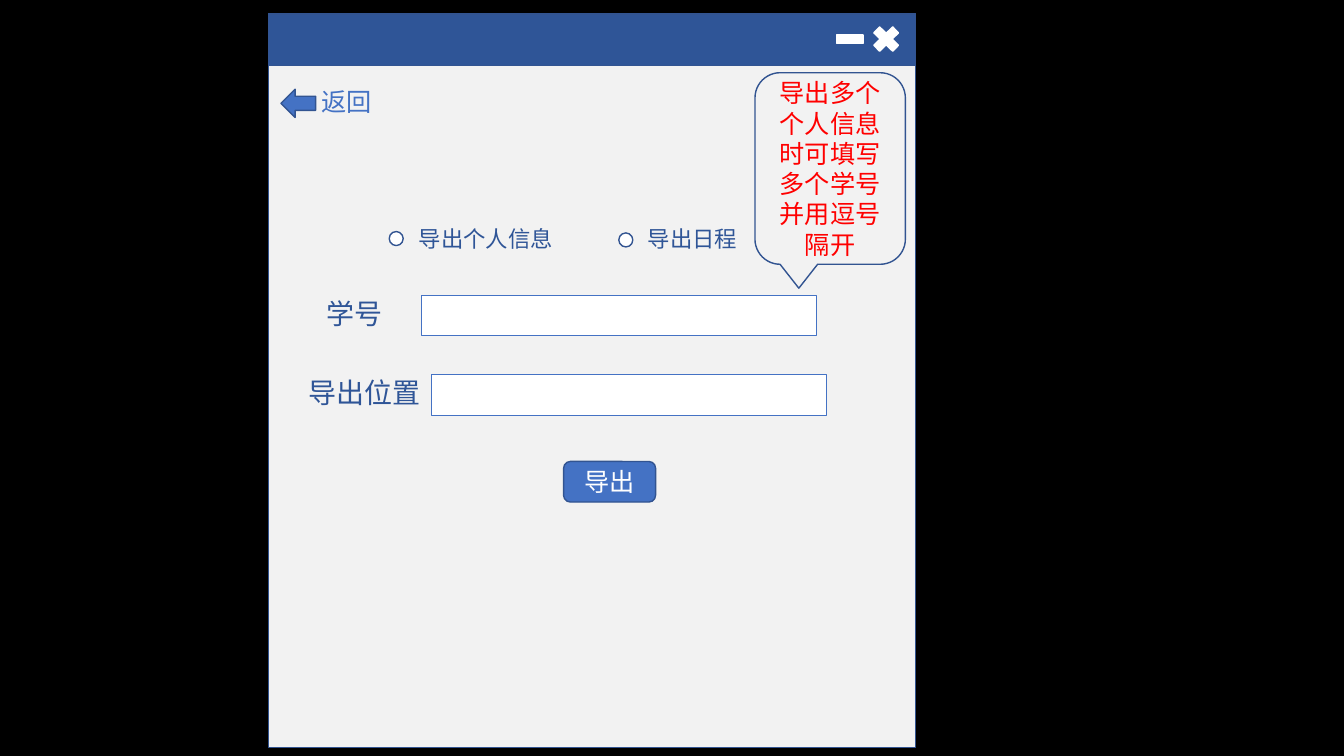
"""Build the export dialog mock-up slide."""
from lxml.etree import SubElement
from pptx import Presentation
from pptx.dml.color import RGBColor
from pptx.enum.shapes import MSO_SHAPE
from pptx.enum.text import MSO_ANCHOR, PP_ALIGN
from pptx.oxml.ns import qn
from pptx.util import Pt

COLORS = {
    "backdrop": "000000",
    "window": "F2F2F2",
    "navy": "2F5597",
    "outline": "325491",
    "blue": "4472C4",
    "white": "FFFFFF",
    "red": "FF0000",
}
FONT = "Noto Sans CJK SC"


def add_box(kind, left, top, width, height, fill, line="outline", line_width=1):
    shape = slide.shapes.add_shape(kind, Pt(left), Pt(top), Pt(width), Pt(height))
    shape.shadow.inherit = False
    if fill:
        shape.fill.solid()
        shape.fill.fore_color.rgb = RGBColor.from_string(COLORS[fill])
    else:
        shape.fill.background()
    shape.line.color.rgb = RGBColor.from_string(COLORS[line])
    shape.line.width = Pt(line_width)
    return shape


def write_text(shape, text, size, color, align=PP_ALIGN.CENTER, wrap=True, anchor=MSO_ANCHOR.MIDDLE):
    frame = shape.text_frame
    frame.word_wrap = wrap
    frame.vertical_anchor = anchor
    paragraph = frame.paragraphs[0]
    paragraph.alignment = align
    run = paragraph.add_run()
    run.text = text
    run.font.size = Pt(size)
    run.font.color.rgb = RGBColor.from_string(COLORS[color])
    run.font.name = FONT
    SubElement(run.font._element, qn("a:ea"), typeface=FONT)


presentation = Presentation()
presentation.slide_width = Pt(960)
presentation.slide_height = Pt(540)
slide = presentation.slides.add_slide(presentation.slide_layouts[6])
slide.background.fill.solid()
slide.background.fill.fore_color.rgb = RGBColor.from_string(COLORS["backdrop"])

add_box(MSO_SHAPE.RECTANGLE, 192, 10, 462, 524, "window")
add_box(MSO_SHAPE.RECTANGLE, 192, 10, 462, 36.7, "navy")
add_box(MSO_SHAPE.MATH_MULTIPLY, 620, 15.3, 26, 25.2, "white", "white")
add_box(MSO_SHAPE.MATH_MINUS, 594, 15.3, 26, 25.2, "white", "white")
add_box(MSO_SHAPE.LEFT_ARROW, 200.7, 63.7, 24.8, 20.2, "blue")

for left, top in ((278, 165.4), (442, 166.4)):
    add_box(MSO_SHAPE.OVAL, left, top, 10, 10, "white")

for left, top in ((301, 211), (308, 267.6)):
    add_box(MSO_SHAPE.RECTANGLE, left, top, 282.4, 29, "white", "blue", 0.75)

labels = [
    ("返回", 222.3, 58.3, 118, 29, 18, "blue", PP_ALIGN.LEFT, True),
    ("导出个人信息", 291.1, 157, 112, 26.6, 16, "navy", PP_ALIGN.CENTER, False),
    ("导出日程", 455, 157, 79.5, 26.6, 16, "navy", PP_ALIGN.CENTER, False),
    ("学号", 226.2, 208, 54.7, 31.7, 20, "navy", PP_ALIGN.CENTER, False),
    ("导出位置", 212.8, 264.5, 95, 31.7, 20, "navy", PP_ALIGN.CENTER, False),
]
for text, left, top, width, height, size, color, align, wrap in labels:
    label = slide.shapes.add_textbox(Pt(left), Pt(top), Pt(width), Pt(height))
    write_text(label, text, size, color, align, wrap, MSO_ANCHOR.TOP)

export_button = add_box(MSO_SHAPE.ROUNDED_RECTANGLE, 402.6, 329.6, 65.7, 29, "blue")
write_text(export_button, "导出", 18, "white")

hint = add_box(MSO_SHAPE.ROUNDED_RECTANGULAR_CALLOUT, 539.3, 52, 107.4, 136.8, None)
write_text(hint, "导出多个个人信息时可填写多个学号并用逗号隔开", 18, "red")

presentation.save("out.pptx")
